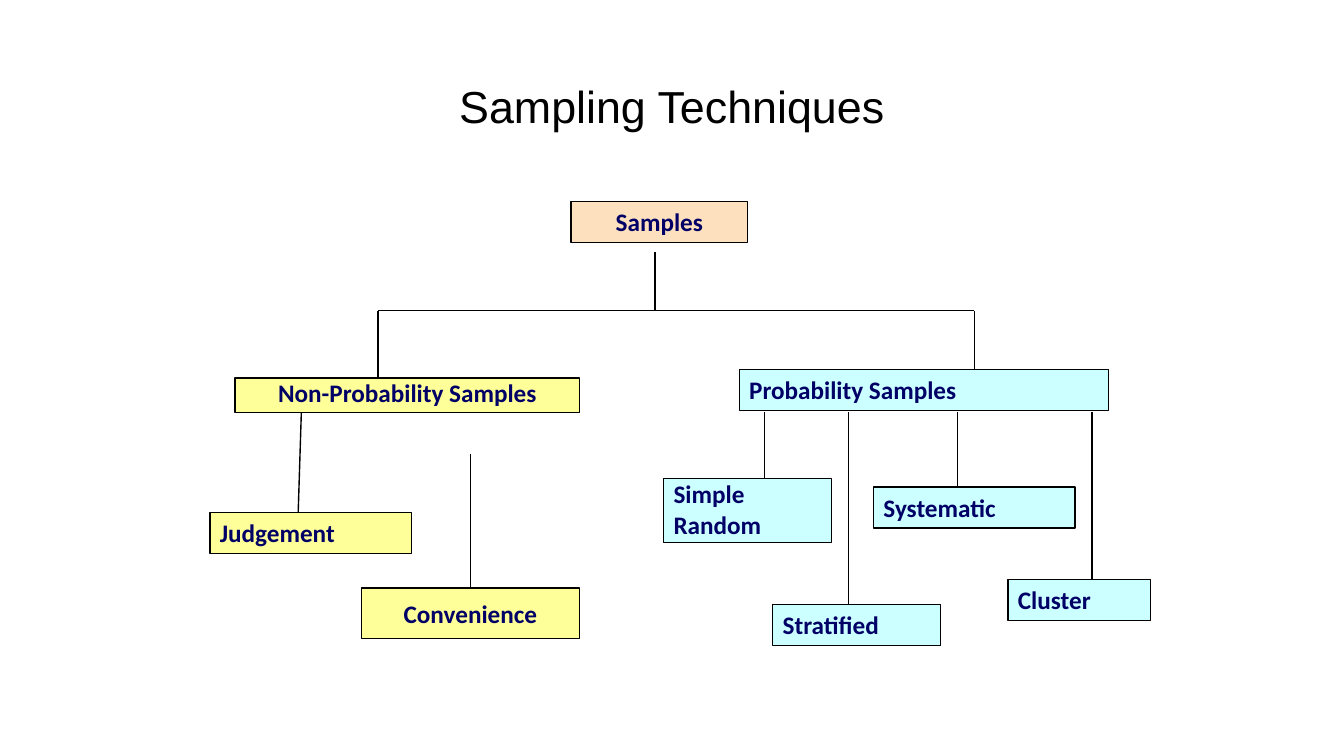
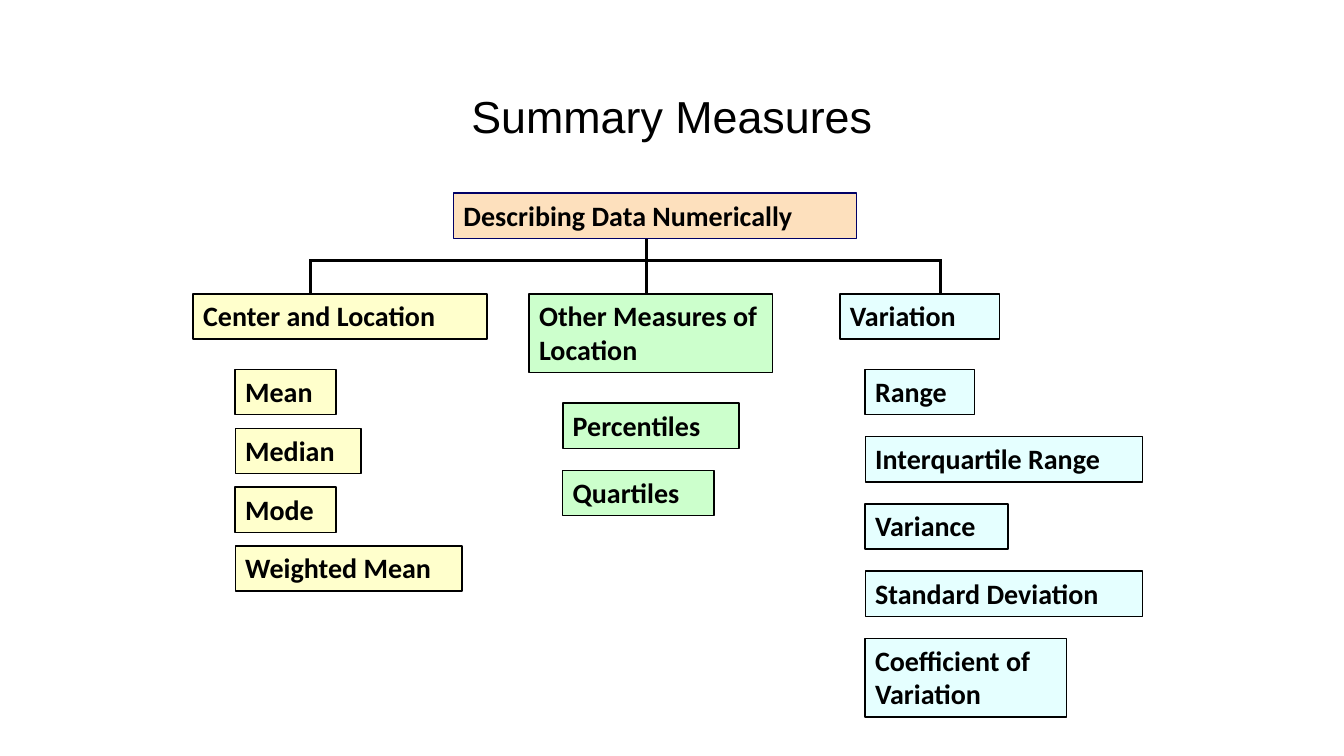
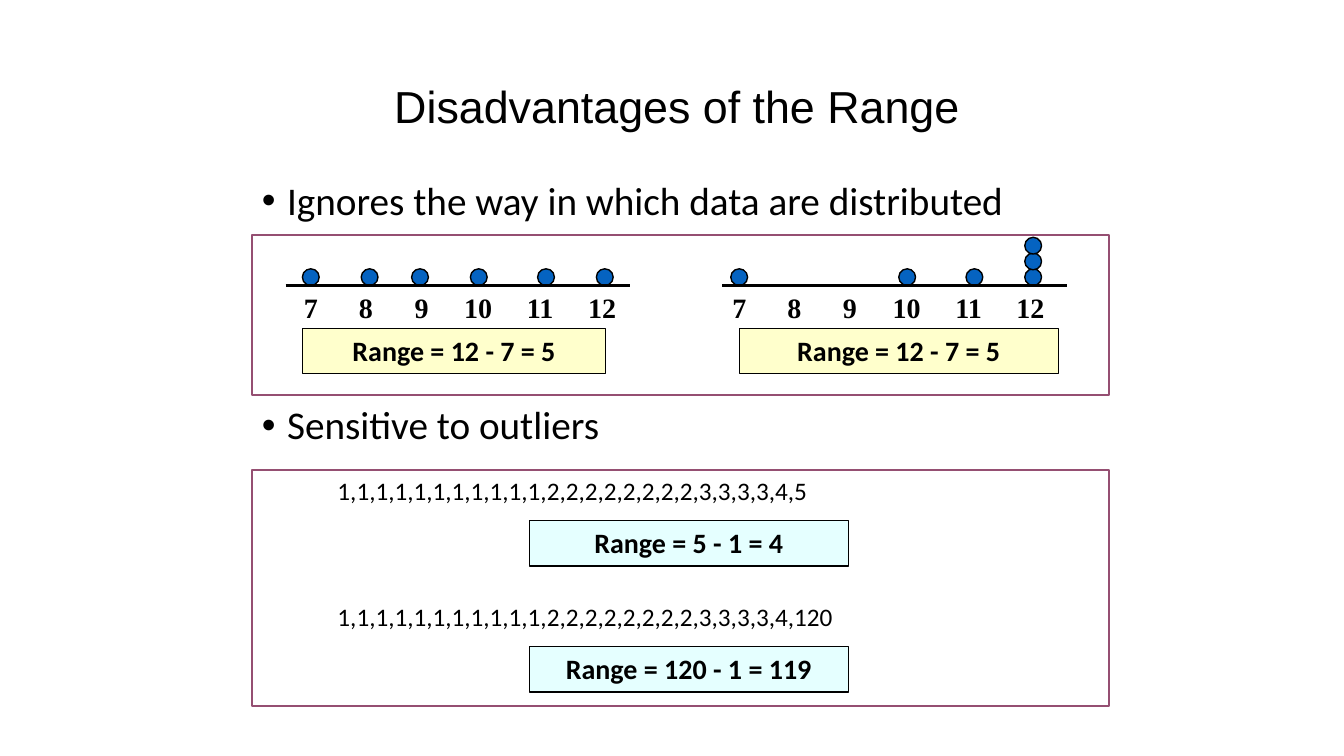
from pptx import Presentation
from pptx.dml.color import RGBColor
from pptx.enum.shapes import MSO_CONNECTOR as Connector, MSO_SHAPE as Shape
from pptx.enum.text import MSO_ANCHOR as Anchor, MSO_AUTO_SIZE as AutoSize, PP_ALIGN as Align
from pptx.oxml.ns import qn
from pptx.util import Emu, Pt
from lxml.etree import SubElement

COLORS = {
    "black": "000000", "navy": "000066", "peach": "FDE0BD", "yellow": "FFFF99",
    "cyan": "CCFFFF", "cream": "FFFFCC", "green": "CCFFCC", "ice": "E5FFFF",
    "blue": "0563C1", "plum": "954F72",
}
TITLE_BOX = (232, 64, 816, 80)
DOT_OFFSETS = {7: 0, 8: 56, 9: 104, 10: 160, 11: 224, 12: 280}
LABEL_TABS = (59, 112, 166, 225, 284)
DOT_SIZE = 16
DOT_STEP = 15


def px(length):
    """Turn pixels at 96 to the inch into EMU."""
    return Emu(length * 9525)


def rgb(name):
    """Look up a named colour."""
    return RGBColor.from_string(COLORS[name])


def format_text(text_frame, size, color="black", font="Calibri", bold=False,
                align=Align.LEFT, spacing=None):
    """Format every paragraph and run of a text frame."""
    for paragraph in text_frame.paragraphs:
        paragraph.alignment = align
        paragraph.line_spacing = spacing
        for run in paragraph.runs:
            run.font.name, run.font.size, run.font.bold = font, Pt(size), bold
            run.font.color.rgb = rgb(color)


def add_title_slide(presentation, title, bounds=TITLE_BOX, spacing=0.9):
    """Add a title-only slide with its title placed and formatted."""
    slide = presentation.slides.add_slide(presentation.slide_layouts[5])
    shape = slide.shapes.title
    shape.left, shape.top, shape.width, shape.height = map(px, bounds)
    text_frame = shape.text_frame
    text_frame.text = title
    text_frame.auto_size = AutoSize.NONE
    text_frame.vertical_anchor = Anchor.MIDDLE
    format_text(text_frame, 32, font="Arial", align=Align.CENTER, spacing=spacing)
    return slide


def add_figure(slide, kind, bounds, fill=None, line="black", weight=1):
    """Add a flat preset shape with an outline."""
    shape = slide.shapes.add_shape(kind, *map(px, bounds))
    shape.shadow.inherit = False
    if fill:
        shape.fill.solid()
        shape.fill.fore_color.rgb = rgb(fill)
    else:
        shape.fill.background()
    shape.line.color.rgb = rgb(line)
    shape.line.width = Pt(weight)
    return shape


def add_box(slide, text, bounds, fill, size=20, color="black", line="black",
            align=Align.LEFT, spacing=None, anchor=Anchor.TOP):
    """Add a filled rectangle with a bold label."""
    shape = add_figure(slide, Shape.RECTANGLE, bounds, fill, line)
    text_frame = shape.text_frame
    text_frame.word_wrap = True
    text_frame.vertical_anchor = anchor
    text_frame.text = text
    format_text(text_frame, size, color, bold=True, align=align, spacing=spacing)
    return shape


def add_line(slide, start, end, weight=1.0, target=None):
    """Add a straight black line, joined to the top of the target if there is one."""
    connector = slide.shapes.add_connector(Connector.STRAIGHT, *map(px, start + end))
    connector.line.color.rgb = rgb("black")
    connector.line.width = Pt(weight)
    SubElement(connector._element.spPr, qn("a:effectLst"))
    if target is not None:
        connector.end_connect(target, 0)


def add_text(slide, text, bounds):
    """Add a wrapping text box and return its text frame."""
    text_frame = slide.shapes.add_textbox(*map(px, bounds)).text_frame
    text_frame.word_wrap = True
    text_frame.text = text
    return text_frame


def add_bullets(slide, lines, bounds, gap):
    """Add bulleted lines with a gap between them."""
    text_frame = add_text(slide, "\n".join(lines), bounds)
    for index, paragraph in enumerate(text_frame.paragraphs):
        properties = paragraph._p.get_or_add_pPr()
        properties.set("marL", str(px(24)))
        properties.set("indent", str(px(-24)))
        SubElement(properties, qn("a:buFont"), typeface="Arial")
        SubElement(properties, qn("a:buChar"), char="•")
        if index:
            paragraph.space_before = Pt(gap)
    format_text(text_frame, 28, spacing=0.9)


def add_dot_plot(slide, left, counts):
    """Add a number line with stacked dots and its labels."""
    for value, count in counts.items():
        for level in range(count):
            bounds = (left + DOT_OFFSETS[value], 256 - level * DOT_STEP, DOT_SIZE, DOT_SIZE)
            add_figure(slide, Shape.OVAL, bounds, "blue")
    text_frame = add_text(slide, "\t".join(map(str, DOT_OFFSETS)), (left - 8, 272, 321, 41))
    tabs = SubElement(text_frame.paragraphs[0]._p.get_or_add_pPr(), qn("a:tabLst"))
    for position in LABEL_TABS:
        SubElement(tabs, qn("a:tab"), pos=str(px(position)), algn="ctr")
    format_text(text_frame, 20, font="Times New Roman", bold=True)


def build_sampling(presentation):
    """Build the tree of sampling techniques."""
    slide = add_title_slide(presentation, "Sampling Techniques")
    for start, end in (
        ((624, 240), (624, 296)), ((360, 296), (928, 296)),
        ((360, 296), (360, 360)), ((928, 296), (928, 352)),
        ((287, 393), (284, 488)), ((728, 392), (728, 456)),
        ((808, 392), (808, 576)), ((912, 392), (912, 464)),
        ((1040, 392), (1040, 552)),
    ):
        add_line(slide, start, end)
    label = {"size": 18, "color": "navy"}
    for text, bounds, fill in (
        ("Judgement", (200, 488, 192, 39), "yellow"),
        ("Probability Samples", (704, 352, 352, 39), "cyan"),
        ("Systematic", (832, 464, 192, 39), "cyan"),
        ("Stratified", (736, 576, 160, 39), "cyan"),
        ("Cluster", (960, 552, 136, 39), "cyan"),
    ):
        add_box(slide, text, bounds, fill, **label)
    add_box(slide, "Samples", (544, 192, 168, 39), "peach", align=Align.CENTER, **label)
    add_box(slide, "Non-Probability Samples", (224, 360, 328, 33), "yellow",
            align=Align.CENTER, spacing=0.8, **label)
    convenience = add_box(slide, "Convenience", (344, 560, 208, 48), "yellow",
                          align=Align.CENTER, anchor=Anchor.MIDDLE, **label)
    add_line(slide, (448, 432), (448, 560), target=convenience)
    simple = add_box(slide, "Simple\nRandom", (632, 456, 160, 61), "cyan", spacing=0.8, **label)
    random_line = simple.text_frame.paragraphs[1]
    random_line.line_spacing = 0.5
    random_line.space_before = Pt(10)


def build_measures(presentation):
    """Build the overview of summary measures."""
    slide = add_title_slide(presentation, "Summary Measures", (88, 38, 1104, 139), 1.1)
    add_line(slide, (616, 227), (616, 248), 2.25)
    add_line(slide, (296, 248), (896, 248), 2.25)
    for x in (296, 616, 896):
        add_line(slide, (x, 247), (x, 280), 2.25)
    single, double = 43, 75
    add_box(slide, "Describing Data Numerically", (432, 184, 384, single), "peach", line="navy")
    for heading, bounds, fill, left, top, step, measures in (
        ("Center and Location", (184, 280, 280, single), "cream", 224, 352, 56,
         (("Mean", 96), ("Median", 120), ("Mode", 96), ("Weighted Mean", 216))),
        ("Other Measures of Location", (504, 280, 232, double), "green", 536, 384, 64,
         (("Percentiles", 168), ("Quartiles", 144))),
        ("Variation", (800, 280, 152, single), "ice", 824, 352, 64,
         (("Range", 104), ("Interquartile Range", 264), ("Variance", 136),
          ("Standard Deviation", 264), ("Coefficient of Variation", 192))),
    ):
        add_box(slide, heading, bounds, fill)
        for index, (measure, width) in enumerate(measures):
            height = double if measure.startswith("Coefficient") else single
            add_box(slide, measure, (left, top + index * step, width, height), fill)


def build_range(presentation):
    """Build the slide on the weaknesses of the range."""
    slide = add_title_slide(presentation, "Disadvantages of the Range", (237, 64, 816, 80))
    add_bullets(slide, ("Ignores the way in which data are distributed", "Sensitive to outliers"),
                (240, 168, 848, 424), 130)
    for left, counts, axis_left, result_left, result_width in (
        (288, dict.fromkeys(DOT_OFFSETS, 1), 272, 288, 289),
        (696, {7: 1, 10: 1, 11: 1, 12: 3}, 688, 704, 304),
    ):
        add_dot_plot(slide, left, counts)
        add_line(slide, (axis_left, 272), (axis_left + 328, 272), 2.25)
        add_box(slide, "Range = 12 - 7 = 5", (result_left, 313, result_width, 43), "cream",
                align=Align.CENTER)
    common = "1,1,1,1,1,1,1,1,1,1,1,2,2,2,2,2,2,2,2,3,3,3,3,4,"
    for top, last, result in ((448, "5", "Range = 5 - 1 = 4"),
                              (568, "120", "Range = 120 - 1 = 119")):
        format_text(add_text(slide, common + last, (312, top, 720, 39)), 18)
        add_box(slide, result, (504, top + 48, 304, 43), "ice", align=Align.CENTER)
    for top, height in ((224, 152), (448, 224)):
        add_figure(slide, Shape.RECTANGLE, (240, top, 816, height), line="plum", weight=1.5)


def main():
    """Build and save the presentation."""
    presentation = Presentation()
    presentation.slide_width, presentation.slide_height = px(1280), px(720)
    build_sampling(presentation)
    build_measures(presentation)
    build_range(presentation)
    presentation.save("out.pptx")


if __name__ == "__main__":
    main()
